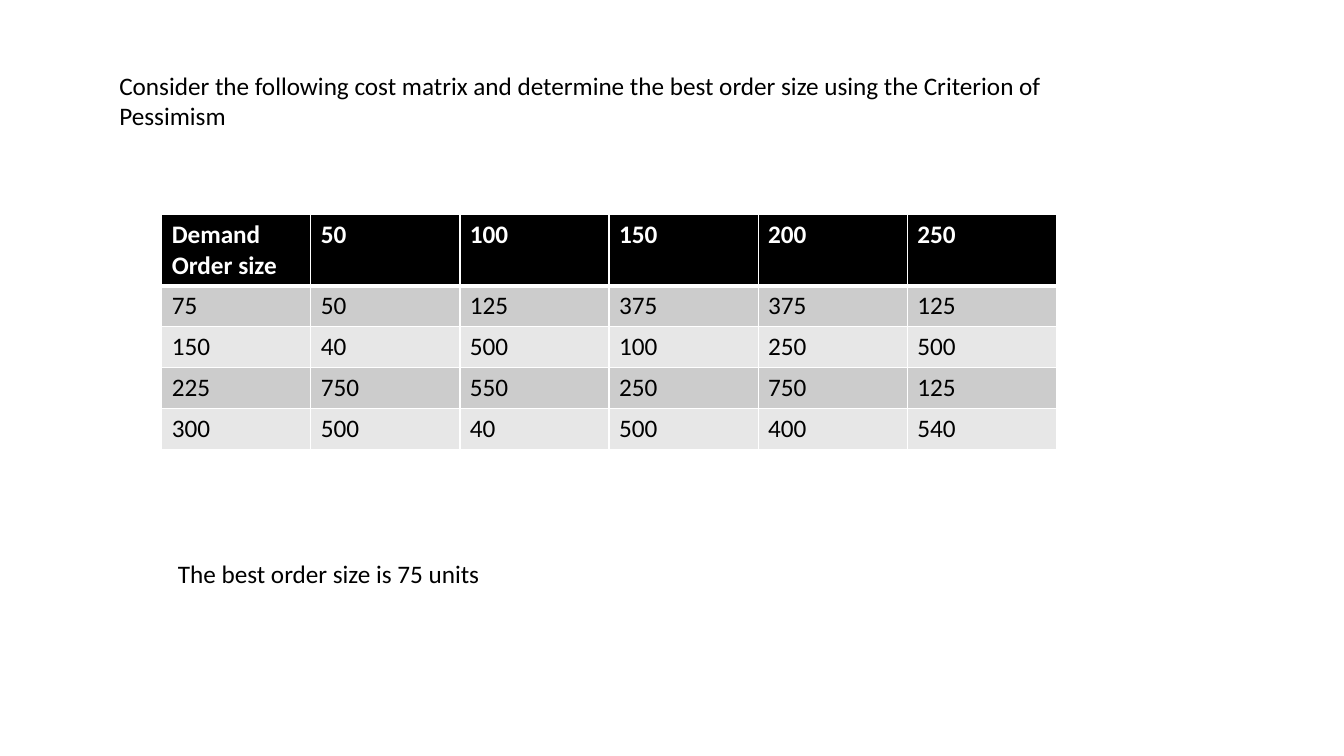
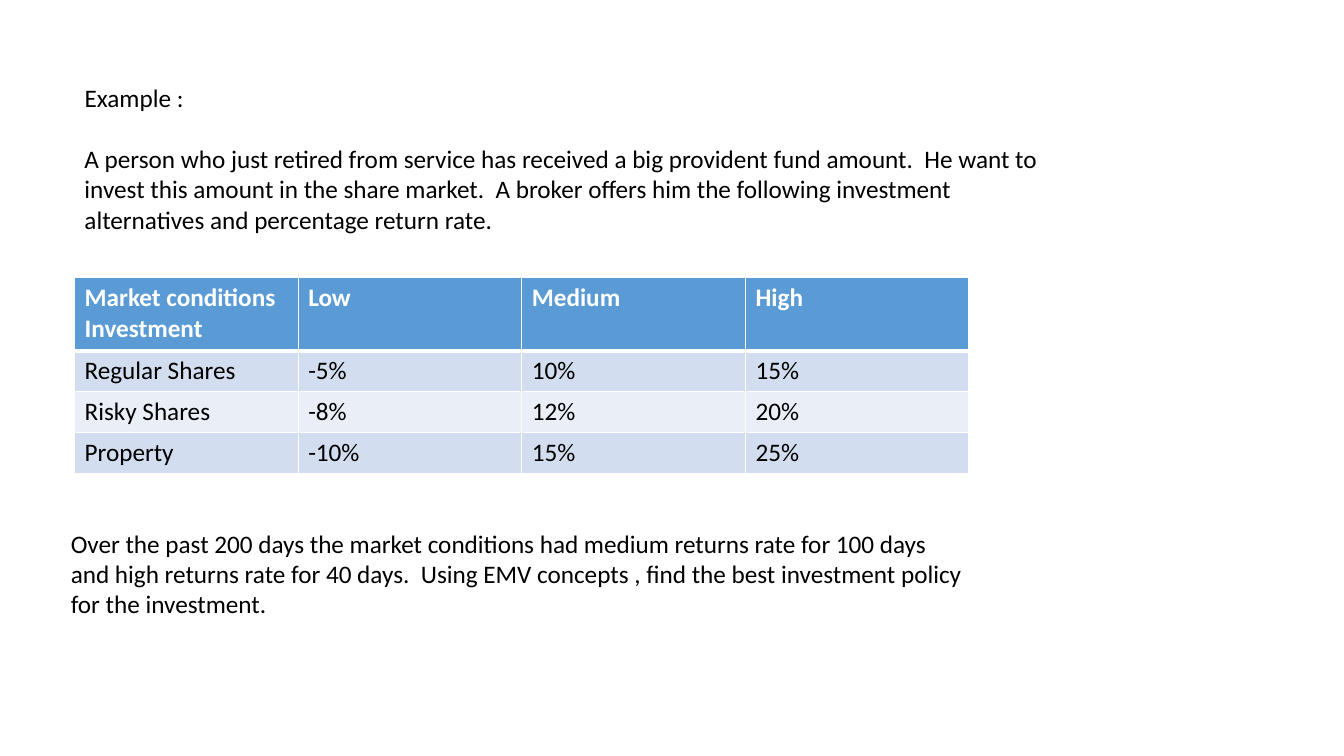
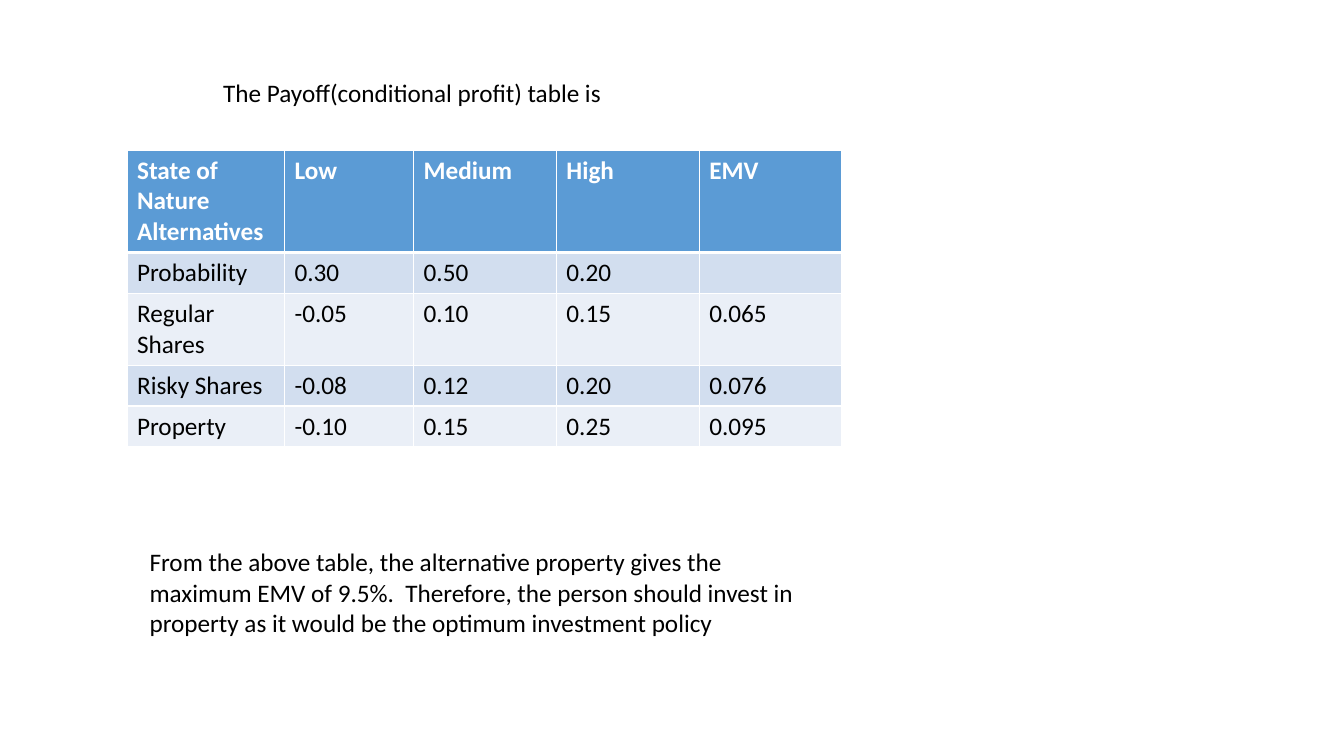
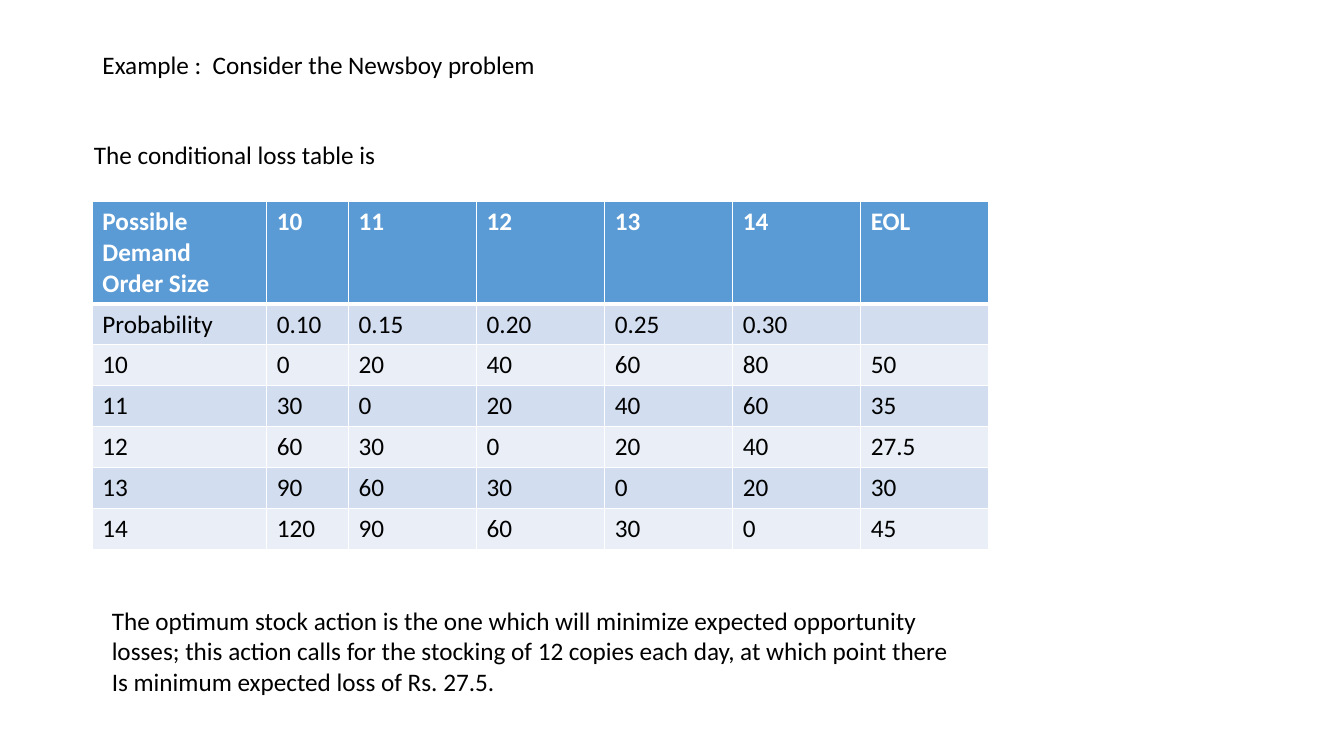
import pptx
import pptx.dml.color
import pptx.enum.text
import pptx.oxml
import pptx.oxml.ns
import pptx.util

RGBColor = pptx.dml.color.RGBColor
BLACK = RGBColor(0x00, 0x00, 0x00)
WHITE = RGBColor(0xFF, 0xFF, 0xFF)
GREY_DARK = RGBColor(0xCC, 0xCC, 0xCC)
GREY_LIGHT = RGBColor(0xE7, 0xE7, 0xE7)
BLUE = RGBColor(0x5B, 0x9B, 0xD5)
BLUE_MID = RGBColor(0xD2, 0xDE, 0xEF)
BLUE_LIGHT = RGBColor(0xEA, 0xEF, 0xF7)

MONO_FILLS = (BLACK, GREY_DARK, GREY_LIGHT)
BLUE_FILLS = (BLUE, BLUE_MID, BLUE_LIGHT)

FONT = {"name": "Calibri", "size": pptx.util.Pt(18)}
FRAME = {
    "word_wrap": True,
    "auto_size": pptx.enum.text.MSO_AUTO_SIZE.NONE,
    "vertical_anchor": pptx.enum.text.MSO_ANCHOR.TOP,
}
ROW_HEIGHT = 39
TITLE_ONLY = 5

SLIDES = [
    {
        "title": ((104, 62, 980, 68),
                  "Consider the following cost matrix and determine the best "
                  "order size using the Criterion of Pessimism"),
        "matrix": {
            "at": (154, 204),
            "cols": [142] * 6,
            "tall_rows": {0: 67},
            "fills": MONO_FILLS,
            "rows": [
                ["Demand\nOrder size", "50", "100", "150", "200", "250"],
                ["75", "50", "125", "375", "375", "125"],
                ["150", "40", "500", "100", "250", "500"],
                ["225", "750", "550", "250", "750", "125"],
                ["300", "500", "40", "500", "400", "540"],
            ],
        },
        "notes": [((160, 527, 559, 38), "The best order size is 75 units")],
    },
    {
        "title": ((71, 74, 929, 38), "Example :"),
        "matrix": {
            "at": (71, 264),
            "cols": [213] * 4,
            "tall_rows": {0: 70},
            "fills": BLUE_FILLS,
            "rows": [
                ["Market conditions\nInvestment", "Low", "Medium", "High"],
                ["Regular Shares", "-5%", "10%", "15%"],
                ["Risky Shares", "-8%", "12%", "20%"],
                ["Property", "-10%", "15%", "25%"],
            ],
        },
        "notes": [
            ((71, 132, 929, 97),
             "A person who just retired from service has received a big "
             "provident fund amount.  He want to invest this amount in the "
             "share market.  A broker offers him the following investment "
             "alternatives and percentage return rate."),
            ((58, 498, 881, 97),
             "Over the past 200 days the market conditions had medium returns "
             "rate for 100 days\n"
             "and high returns rate for 40 days.  Using EMV concepts , find "
             "the best investment policy\n"
             "for the investment."),
        ],
    },
    {
        "title": ((203, 69, 772, 38),
                  "The Payoff(conditional profit) table is"),
        "matrix": {
            "at": (121, 143),
            "cols": [150, 123] + [136] * 3,
            "tall_rows": {0: 96, 2: 67},
            "fills": BLUE_FILLS,
            "rows": [
                ["State of Nature\nAlternatives", "Low", "Medium", "High", "EMV"],
                ["Probability", "0.30", "0.50", "0.20", ""],
                ["Regular Shares", "-0.05", "0.10", "0.15", "0.065"],
                ["Risky Shares", "-0.08", "0.12", "0.20", "0.076"],
                ["Property", "-0.10", "0.15", "0.25", "0.095"],
            ],
        },
        "notes": [
            ((133, 516, 660, 97),
             "From the above table, the alternative property gives the maximum "
             "EMV of 9.5%.  Therefore, the person should invest in property as "
             "it would be the optimum investment policy"),
        ],
    },
    {
        "title": ((88, 42, 541, 38), "Example :  Consider the Newsboy problem"),
        "matrix": {
            "at": (88, 192),
            "cols": [166, 78] + [122] * 5,
            "tall_rows": {0: 95},
            "fills": BLUE_FILLS,
            "rows": [
                ["Possible Demand\nOrder Size", "10", "11", "12", "13", "14", "EOL"],
                ["Probability", "0.10", "0.15", "0.20", "0.25", "0.30", ""],
                ["10", "0", "20", "40", "60", "80", "50"],
                ["11", "30", "0", "20", "40", "60", "35"],
                ["12", "60", "30", "0", "20", "40", "27.5"],
                ["13", "90", "60", "30", "0", "20", "30"],
                ["14", "120", "90", "60", "30", "0", "45"],
            ],
        },
        "notes": [
            ((80, 128, 297, 38), "The conditional loss table is"),
            ((97, 572, 844, 97),
             "The optimum stock action is the one which will minimize expected "
             "opportunity losses; this action calls for the stocking of 12 "
             "copies each day, at which point there\n"
             "Is minimum expected loss of Rs. 27.5."),
        ],
    },
]


def px(n):
    """Turn px, 96 to the inch, into EMU."""
    return pptx.util.Emu(n * 9525)


def write(tf, text, color=BLACK, bold=False):
    """Write text, one paragraph per line, in the shared font."""
    tf.text = text
    for p in tf.paragraphs:
        p.alignment = pptx.enum.text.PP_ALIGN.LEFT
        for r in p.runs:
            for name, value in {**FONT, "bold": bold}.items():
                setattr(r.font, name, value)
            r.font.color.rgb = color


def set_frame(tf, text):
    """Format the frame of a title or note and write its text."""
    for name, value in FRAME.items():
        setattr(tf, name, value)
    write(tf, text)


def add_title(s, box, text):
    """Move the title placeholder to the box and fill it."""
    sp = s.shapes.title
    for name, value in zip(("left", "top", "width", "height"), box):
        setattr(sp, name, px(value))
    set_frame(sp.text_frame, text)


def add_note(s, box, text):
    """Add a text box with a note."""
    sp = s.shapes.add_textbox(*map(px, box))
    set_frame(sp.text_frame, text)


def set_borders(cell, top, bottom):
    """Give a cell white borders, 1 pt at the sides."""
    tc_pr = cell._tc.get_or_add_tcPr()
    for side, width in {"L": 1, "R": 1, "T": top, "B": bottom}.items():
        tc_pr.append(pptx.oxml.parse_xml(
            f'<a:ln{side} {pptx.oxml.ns.nsdecls("a")} w="{pptx.util.Pt(width)}">'
            f'<a:solidFill><a:srgbClr val="{WHITE}"/></a:solidFill>'
            f'</a:ln{side}>'))


def add_matrix(s, at, cols, tall_rows, fills, rows):
    """Add a table with a header row and banded body rows."""
    heights = [tall_rows.get(i, ROW_HEIGHT) for i in range(len(rows))]
    box = (*at, sum(cols), sum(heights))
    table = s.shapes.add_table(len(rows), len(cols), *map(px, box)).table
    table.horz_banding = False
    for column, width in zip(table.columns, cols):
        column.width = px(width)
    header, *bands = fills
    for i, values in enumerate(rows):
        table.rows[i].height = px(heights[i])
        is_header = i == 0
        for j, value in enumerate(values):
            cell = table.cell(i, j)
            set_borders(cell, top=3 if i == 1 else 1, bottom=3 if is_header else 1)
            cell.fill.solid()
            cell.fill.fore_color.rgb = header if is_header else bands[(i - 1) % 2]
            write(cell.text_frame, value, WHITE if is_header else BLACK, is_header)


def add_matrix_slide(prs, title, matrix, notes):
    """Add a slide with a title, a table and its notes."""
    s = prs.slides.add_slide(prs.slide_layouts[TITLE_ONLY])
    add_title(s, *title)
    add_matrix(s, **matrix)
    for note in notes:
        add_note(s, *note)


def main():
    """Build and save the presentation."""
    prs = pptx.Presentation()
    prs.slide_width, prs.slide_height = px(1280), px(720)
    for content in SLIDES:
        add_matrix_slide(prs, **content)
    prs.save("out.pptx")


if __name__ == "__main__":
    main()
